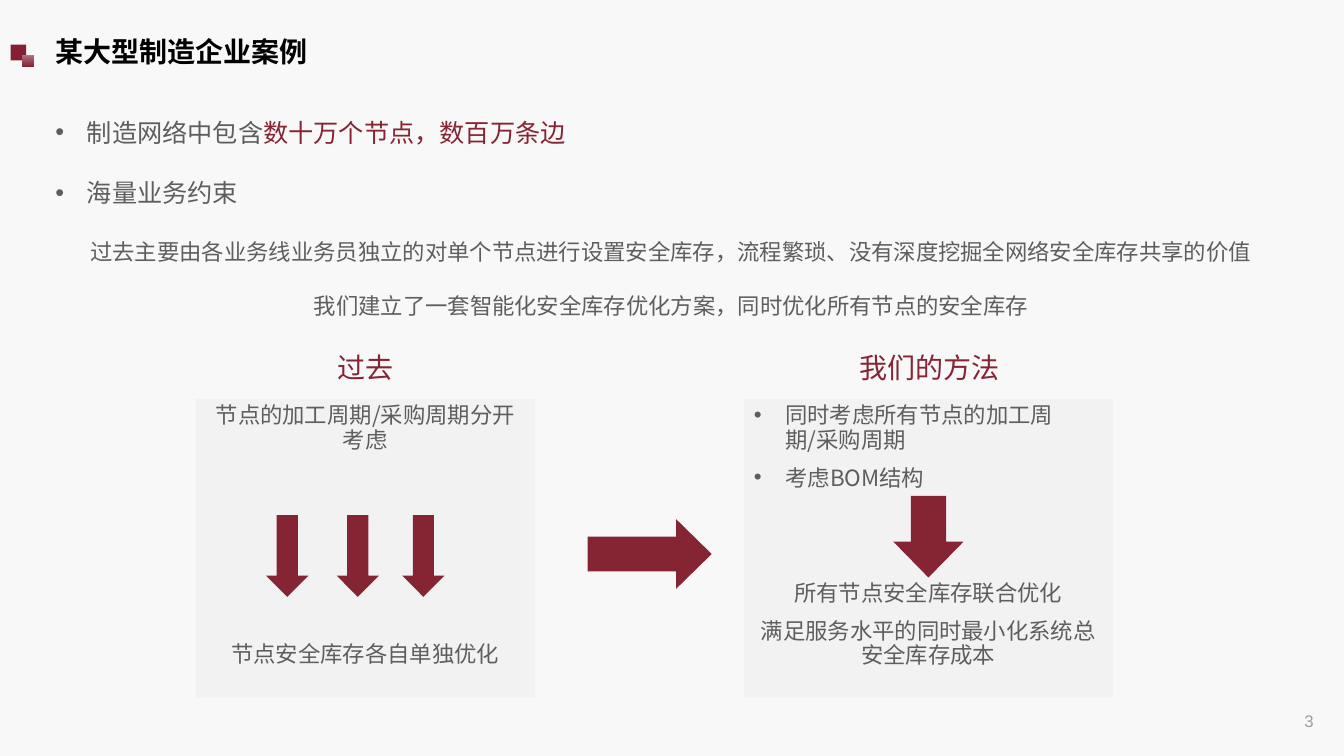
from lxml.etree import SubElement
from pptx import Presentation
from pptx.dml.color import RGBColor
from pptx.enum.shapes import MSO_SHAPE
from pptx.enum.text import MSO_ANCHOR, MSO_AUTO_SIZE, PP_ALIGN
from pptx.oxml.ns import qn
from pptx.util import Pt

FONT = "Noto Sans CJK SC"
RED, GREY, PANEL, MARK = "852432", "5E5E5E", "F2F2F2", "841F34"


def rgb(value):
    return RGBColor.from_string(value)


class Deck:
    def __init__(self):
        self.prs = Presentation()
        self.prs.slide_width, self.prs.slide_height = Pt(960), Pt(540)
        self.s = self.prs.slides.add_slide(self.prs.slide_layouts[1])
        fill = self.s.background.fill
        fill.solid()
        fill.fore_color.rgb = rgb("F8F8F8")

    def set_lines(self, sp, lines, size, spacing=1.2, align=PP_ALIGN.LEFT, color=GREY,
                  anchor=MSO_ANCHOR.TOP, bold=False, font=FONT):
        tf = sp.text_frame
        tf.word_wrap = True
        tf.auto_size = MSO_AUTO_SIZE.NONE
        tf.vertical_anchor = anchor
        tf.text = "\n".join(lines)
        for p in tf.paragraphs:
            p.alignment = align
            p.line_spacing = Pt(round(size * spacing, 1))
            p.space_before = Pt(0)
            for r in p.runs:
                self.style(r, size, color, bold, font)
        return tf.paragraphs

    def style(self, r, size, color, bold=False, font=FONT):
        r.font.name, r.font.size, r.font.bold = font, Pt(size), bold
        r.font.color.rgb = rgb(color)
        SubElement(r.font._element, qn("a:ea")).set("typeface", font)

    def bullet(self, p, indent):
        pPr = p._p.get_or_add_pPr()
        pPr.set("marL", str(Pt(indent)))
        pPr.set("indent", str(-Pt(indent)))
        SubElement(pPr, qn("a:buFont")).set("typeface", "Arial")
        SubElement(pPr, qn("a:buChar")).set("char", "•")

    def placeholder(self, index, x, y, w, h, lines, size, **kw):
        sp = self.s.placeholders[index]
        sp.left, sp.top, sp.width, sp.height = Pt(x), Pt(y), Pt(w), Pt(h)
        return self.set_lines(sp, lines, size, **kw)

    def text(self, x, y, w, h, lines, size, **kw):
        sp = self.s.shapes.add_textbox(Pt(x), Pt(y), Pt(w), Pt(h))
        return self.set_lines(sp, lines, size, **kw)

    def shape(self, kind, x, y, w, h, color):
        sp = self.s.shapes.add_shape(kind, Pt(x), Pt(y), Pt(w), Pt(h))
        sp.shadow.inherit = False
        sp.fill.solid()
        sp.fill.fore_color.rgb = rgb(color)
        sp.line.fill.background()
        return sp

    def panel(self, x, w, lines, gaps):
        sp = self.shape(MSO_SHAPE.RECTANGLE, x, 285.1, w, 213.1, PANEL)
        ps = self.set_lines(sp, lines, 16, spacing=1.08, align=PP_ALIGN.CENTER)
        for p, gap in zip(ps[1:], gaps):
            p.space_before = Pt(gap)
        return ps

    def arrow(self, x, y, w, h, head=0.5, rotation=0):
        sp = self.shape(MSO_SHAPE.DOWN_ARROW, x, y, w, h, RED)
        sp.adjustments[1] = head
        sp.rotation = rotation

    def mark(self):
        self.shape(MSO_SHAPE.RECTANGLE, 7.5, 31.9, 11.2, 11.2, MARK)
        sp = self.shape(MSO_SHAPE.RECTANGLE, 15.5, 39, 9, 9, MARK)
        sp.fill.gradient()
        sp.fill.gradient_angle = 90
        for stop, color in zip(sp.fill.gradient_stops, (MARK, "B27682")):
            stop.color.rgb = rgb(color)


def main():
    d = Deck()
    d.mark()
    d.placeholder(0, 32.4, 12.2, 784.8, 51.8, ["某大型制造企业案例"], 20, spacing=1.08,
                  color="000000", anchor=MSO_ANCHOR.MIDDLE, bold=True)
    network, constraints = d.placeholder(
        1, 32.4, 58.3, 833.8, 88.6, ["制造网络中包含", "海量业务约束"], 18, spacing=2.4)
    r = network.add_run()
    r.text = "数十万个节点，数百万条边"
    d.style(r, 18, RED)
    for p in (network, constraints):
        d.bullet(p, 22.5)

    d.text(49.7, 147.6, 859.7, 110.2,
           ["过去主要由各业务线业务员独立的对单个节点进行设置安全库存，流程繁琐、没有深度挖掘全网络安全库存共享的价值\v"
            "我们建立了一套智能化安全库存优化方案，同时优化所有节点的安全库存"],
           16, spacing=2.4, align=PP_ALIGN.CENTER)

    for x, w, heading in ((99.4, 323.3, "过去"), (569.5, 188.6, "我们的方法")):
        d.text(x, 247, w, 31.7, [heading], 20, align=PP_ALIGN.CENTER, color=RED)

    d.panel(139.7, 242.6, ["节点的加工周期/采购周期分开考虑", "节点安全库存各自单独优化"], [136])
    ours = d.panel(531.4, 263.5,
                   ["同时考虑所有节点的加工周期/采购周期", "考虑BOM结构",
                    "所有节点安全库存联合优化", "满足服务水平的同时最小化系统总安全库存成本"],
                   [10, 65, 10])
    for p in ours[:2]:
        p.alignment = PP_ALIGN.LEFT
        d.bullet(p, 22.5)

    for x in (190.1, 240.5, 287.3):
        d.arrow(x, 368, 30.2, 58.3)
    d.arrow(638, 354.2, 50.4, 58.3, head=0.51)
    d.arrow(439.2, 351.4, 49.7, 88.6, head=0.51, rotation=270)
    d.text(729.4, 500.4, 216, 28.8, ["3"], 12, align=PP_ALIGN.RIGHT, color="9D9D9D",
           anchor=MSO_ANCHOR.MIDDLE, font="Arial")
    d.prs.save("out.pptx")


if __name__ == "__main__":
    main()
